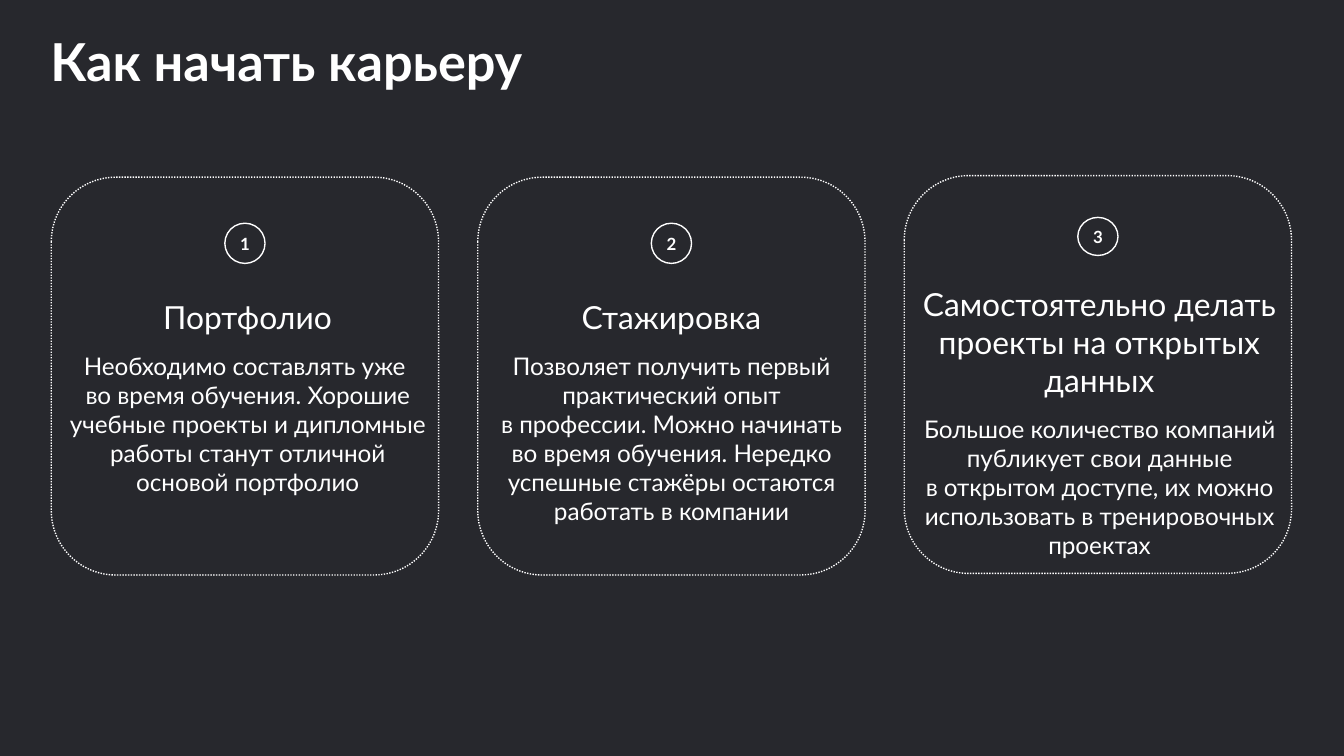
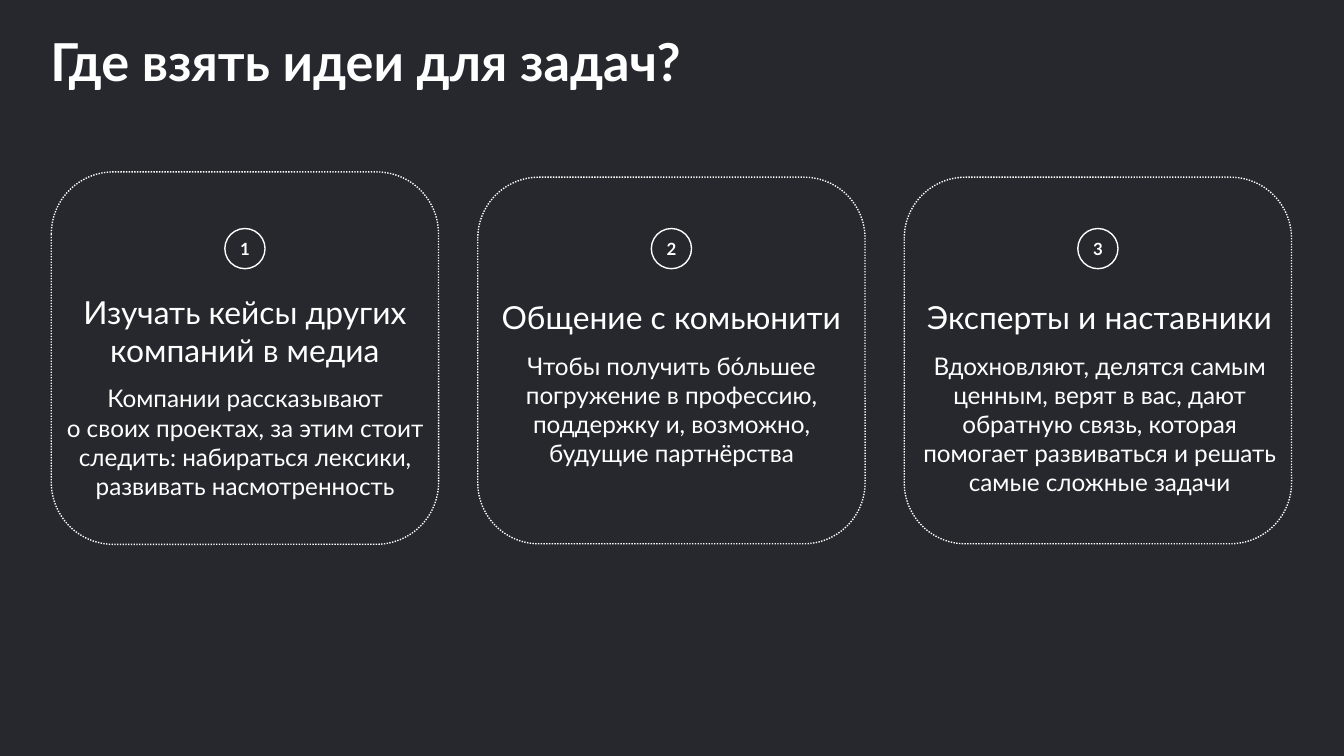
from dataclasses import dataclass

import pptx
import pptx.dml.color
import pptx.enum.dml
import pptx.enum.shapes
import pptx.enum.text
import pptx.shapes.autoshape
import pptx.slide
import pptx.text.text
import pptx.util
from pptx.util import Cm, Pt

# Shared look
WHITE = pptx.dml.color.RGBColor(0xFF, 0xFF, 0xFF)
CHARCOAL = pptx.dml.color.RGBColor(0x27, 0x28, 0x2D)
FONT = "Lato"
TITLE_ONLY_LAYOUT = 5

# Card grid, in centimetres
FIRST_CARD_LEFT = 0.97
CARD_PITCH = 8.06
CARD_WIDTH = 7.32
BADGE_WIDTH = 0.76
TEXT_INSET = 0.25


@dataclass(frozen=True)
class Card:
    """One numbered step; lengths are in centimetres."""
    heading: str
    body: str
    top: float = 3.35
    height: float = 7.52
    badge_top: float = 4.22
    badge_height: float = BADGE_WIDTH
    text_top: float = 5.38
    text_height: float = 3.76
    text_shift: float = 0


@dataclass(frozen=True)
class Topic:
    title: str
    cards: tuple[Card, ...]


TOPICS = (
    Topic("Как начать карьеру", (
        Card("Портфолио",
             "Необходимо составлять уже \nво время обучения. Хорошие учебные проекты "
             "и дипломные работы станут отличной основой портфолио",
             text_height=4.29, text_shift=0.05),
        Card("Стажировка",
             "Позволяет получить первый практический опыт\nв профессии. Можно начинать "
             "во время обучения. Нередко успешные стажёры остаются работать в компании"),
        Card("Самостоятельно делать проекты на открытых данных",
             "Большое количество компаний публикует свои данные\nв открытом доступе, "
             "их можно использовать в тренировочных проектах",
             top=3.32, badge_top=4.11, badge_height=0.72,
             text_top=5.13, text_height=4.29, text_shift=0.03),
    )),
    Topic("Где взять идеи для задач?", (
        Card("Изучать кейсы других компаний в медиа",
             "Компании рассказывают\nо своих проектах, за этим стоит следить: "
             "набираться лексики, развивать насмотренность",
             top=3.25, height=7.04, badge_top=4.32, text_top=5.28),
        Card("Общение с комьюнити",
             "Чтобы получить бо́льшее погружение в профессию, поддержку и, возможно, "
             "будущие партнёрства",
             height=6.93, badge_top=4.32),
        Card("Эксперты и наставники",
             "Вдохновляют, делятся самым ценным, верят в вас, дают обратную связь, "
             "которая помогает развиваться и решать самые сложные задачи",
             height=6.93, badge_top=4.32, text_shift=0.03),
    )),
)


def style_paragraph(paragraph: pptx.text.text._Paragraph, size: float,
                    alignment: pptx.enum.text.PP_ALIGN, bold: bool = False) -> None:
    paragraph.alignment = alignment
    paragraph.font.name = FONT
    paragraph.font.size = Pt(size)
    paragraph.font.bold = bold
    paragraph.font.color.rgb = WHITE


def set_insets(frame: pptx.text.text.TextFrame, inset: float) -> None:
    frame.margin_left = frame.margin_right = Cm(inset)
    frame.margin_top = frame.margin_bottom = Cm(inset)


def add_outline(slide: pptx.slide.Slide, kind: pptx.enum.shapes.MSO_SHAPE, left: float,
                top: float, width: float, height: float) -> pptx.shapes.autoshape.Shape:
    outline = slide.shapes.add_shape(kind, Cm(left), Cm(top), Cm(width), Cm(height))
    outline.shadow.inherit = False
    outline.fill.background()
    outline.line.color.rgb = WHITE
    outline.line.width = Pt(0.75)
    return outline


def set_title(slide: pptx.slide.Slide, text: str) -> None:
    title = slide.shapes.title
    title.left, title.top, title.width, title.height = Cm(0.95), Cm(0.69), Cm(23.67), Cm(1.07)
    frame = title.text_frame
    frame.text = text
    frame.auto_size = pptx.enum.text.MSO_AUTO_SIZE.NONE
    frame.vertical_anchor = pptx.enum.text.MSO_ANCHOR.TOP
    set_insets(frame, 0)
    style_paragraph(frame.paragraphs[0], 28, pptx.enum.text.PP_ALIGN.LEFT, bold=True)
    frame.paragraphs[0].line_spacing = 0.9


def add_card(slide: pptx.slide.Slide, index: int, card: Card) -> None:
    left = FIRST_CARD_LEFT + index * CARD_PITCH
    center = pptx.enum.text.PP_ALIGN.CENTER

    # Dotted frame
    border = add_outline(slide, pptx.enum.shapes.MSO_SHAPE.ROUNDED_RECTANGLE,
                         left, card.top, CARD_WIDTH, card.height)
    border.line.dash_style = pptx.enum.dml.MSO_LINE.ROUND_DOT

    # Number badge
    badge = add_outline(slide, pptx.enum.shapes.MSO_SHAPE.OVAL,
                        left + (CARD_WIDTH - BADGE_WIDTH) / 2, card.badge_top,
                        BADGE_WIDTH, card.badge_height)
    badge.text_frame.text = str(index + 1)
    badge.text_frame.vertical_anchor = pptx.enum.text.MSO_ANCHOR.MIDDLE
    set_insets(badge.text_frame, 0)
    style_paragraph(badge.text_frame.paragraphs[0], 9, center, bold=True)

    # Heading and explanation
    caption = slide.shapes.add_textbox(Cm(left + card.text_shift), Cm(card.text_top),
                                       Cm(CARD_WIDTH), Cm(card.text_height)).text_frame
    caption.word_wrap = True
    set_insets(caption, TEXT_INSET)
    heading = caption.paragraphs[0]
    heading.text = card.heading
    style_paragraph(heading, 17, center)
    body = caption.add_paragraph()
    body.text = card.body
    style_paragraph(body, 13, center)
    body.space_before = body.space_after = Pt(8)


def main() -> None:
    presentation = pptx.Presentation()
    presentation.slide_width, presentation.slide_height = Cm(25.4), Cm(14.29)
    backdrop = presentation.slide_master.background.fill
    backdrop.solid()
    backdrop.fore_color.rgb = CHARCOAL

    for topic in TOPICS:
        slide = presentation.slides.add_slide(presentation.slide_layouts[TITLE_ONLY_LAYOUT])
        set_title(slide, topic.title)
        for index, card in enumerate(topic.cards):
            add_card(slide, index, card)

    presentation.save("out.pptx")


if __name__ == "__main__":
    main()
